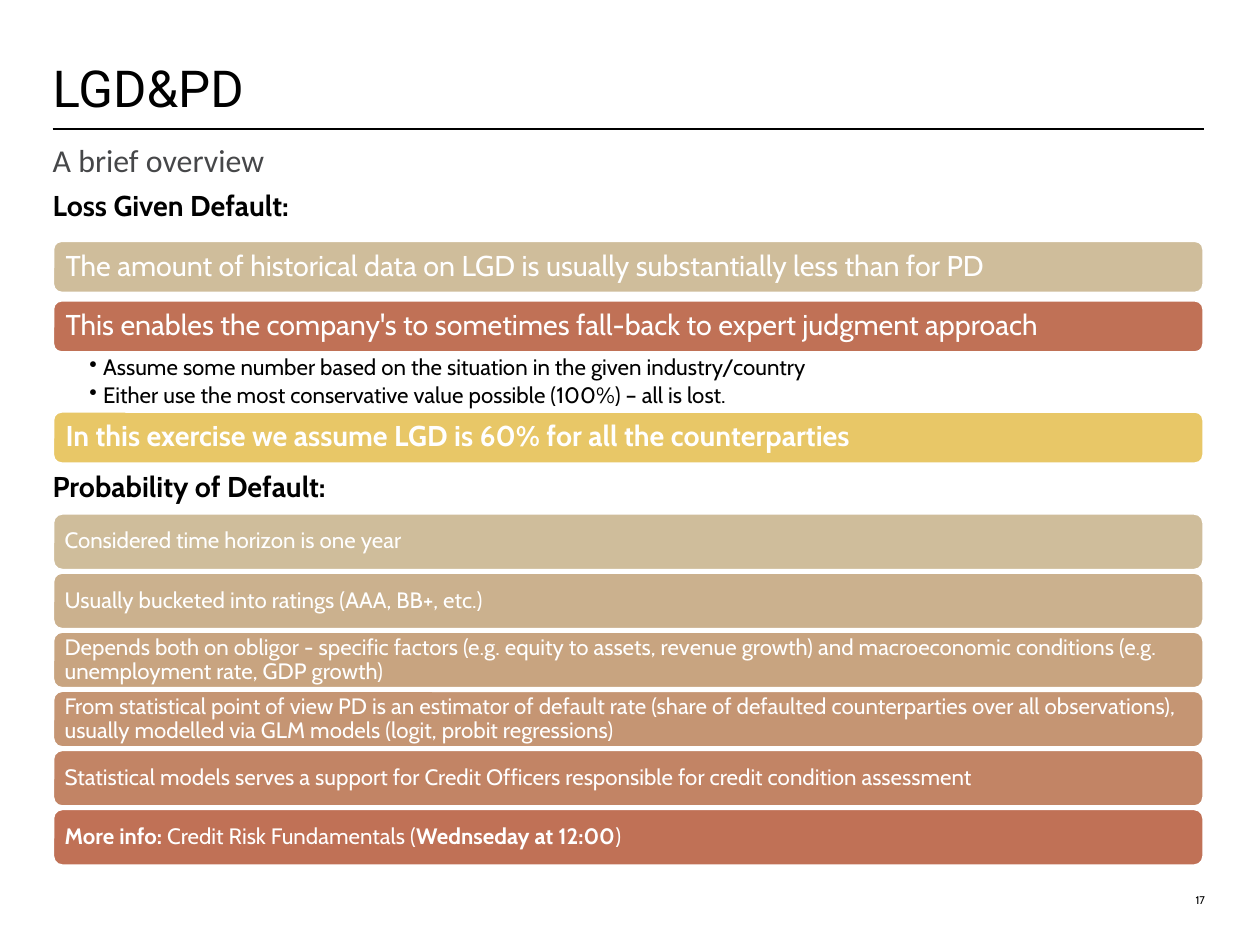
from lxml import etree
from pptx import Presentation, util as u
from pptx.dml.color import RGBColor
from pptx.enum import shapes as sh, text as tx
from pptx.oxml.ns import qn

BLACK = RGBColor(0, 0, 0)
WHITE = RGBColor(255, 255, 255)
GREY = RGBColor(0x46, 0x47, 0x49)
SAND = RGBColor(0xCF, 0xBD, 0x9B)
RUST = RGBColor(0xC0, 0x71, 0x56)
GOLD = RGBColor(0xE8, 0xC7, 0x67)
# Steps from sand to rust
FADE = [SAND, RGBColor(0xCB, 0xB1, 0x8E), RGBColor(0xC8, 0xA4, 0x80),
        RGBColor(0xC5, 0x95, 0x73), RGBColor(0xC2, 0x84, 0x65), RUST]

LEFT, WIDE = 0.46, 10.05
MID, LOW = tx.MSO_ANCHOR.MIDDLE, tx.MSO_ANCHOR.BOTTOM

LGD = [
    (2.1, SAND, "The amount of historical data on LGD is usually substantially less than for PD", False),
    (2.62, RUST, "This enables the company's to sometimes fall-back to expert judgment approach", False),
    (3.59, GOLD, "In this exercise we assume LGD is 60% for all the counterparties", True),
]
NOTES = [
    "Assume some number based on the situation in the given industry/country",
    "Either use the most conservative value possible (100%) – all is lost.",
]
PD = [
    [("Considered time horizon is one year", False)],
    [("Usually bucketed into ratings (AAA, BB+, etc.)", False)],
    [("Depends both on obligor - specific factors (e.g. equity to assets, revenue growth) "
      "and macroeconomic conditions (e.g. unemployment rate, GDP growth)", False)],
    [("From statistical point of view PD is an estimator of default rate (share of defaulted "
      "counterparties over all observations), usually modelled via GLM models "
      "(logit, probit regressions)", False)],
    [("Statistical models serves a support for Credit Officers responsible for "
      "credit condition assessment", False)],
    [("More info: ", True), ("Credit Risk Fundamentals (", False),
     ("Wednseday at 12:00", True), (")", False)],
]


def apply(obj, **form):
    for key, val in form.items():
        setattr(obj, key, val)


def place(shape, x, y, w, h):
    apply(shape, left=u.Inches(x), top=u.Inches(y),
          width=u.Inches(w), height=u.Inches(h))


def frame(shape, pad=(0, 0, 0, 0), anchor=tx.MSO_ANCHOR.TOP):
    sides = ("left", "top", "right", "bottom")
    form = {f"margin_{side}": u.Inches(val) for side, val in zip(sides, pad)}
    apply(shape.text_frame, word_wrap=True, auto_size=tx.MSO_AUTO_SIZE.NONE,
          vertical_anchor=anchor, **form)
    return shape.text_frame


def write(para, runs, size, color=BLACK, face="Cabin", **form):
    """Fill a paragraph with (words, bold) runs."""
    form = {"alignment": tx.PP_ALIGN.LEFT, "space_before": u.Pt(0), **form}
    apply(para, **form)
    for words, bold in runs:
        run = para.add_run()
        run.text = words
        apply(run.font, name=face, size=u.Pt(size), bold=bold)
        run.font.color.rgb = color


def bullet(para, char=None, hang=0):
    props = para._p.get_or_add_pPr()
    props.set("marL", str(u.Inches(hang)))
    props.set("indent", str(-u.Inches(hang)))
    if char:
        etree.SubElement(props, qn("a:buChar")).set("char", char)
    else:
        etree.SubElement(props, qn("a:buNone"))


def label(slide, box, words, size, anchor=tx.MSO_ANCHOR.TOP, **form):
    shape = slide.shapes.add_textbox(*map(u.Inches, box))
    write(frame(shape, anchor=anchor).paragraphs[0], [(words, False)], size, **form)


def head(shape, y, h, words):
    place(shape, LEFT, y, WIDE, h)
    para = frame(shape, (0, 0, 0, 0.04)).paragraphs[0]
    write(para, [(words, True)], 18)
    bullet(para)


def bar(slide, y, h, fill, runs, size, pad):
    shape = slide.shapes.add_shape(
        sh.MSO_SHAPE.ROUNDED_RECTANGLE, *map(u.Inches, (LEFT, y, WIDE, h)))
    shape.shadow.inherit = False
    shape.fill.solid()
    shape.fill.fore_color.rgb = fill
    shape.line.color.rgb = WHITE
    shape.line.width = u.Pt(2)
    para = frame(shape, (pad,) * 4, MID).paragraphs[0]
    write(para, runs, size, WHITE, line_spacing=0.9)


def rule(slide, y):
    line = slide.shapes.add_connector(
        sh.MSO_CONNECTOR.STRAIGHT, *map(u.Inches, (LEFT, y, LEFT + WIDE, y)))
    line.line.color.rgb = BLACK
    line.line.width = u.Pt(1.25)
    etree.SubElement(line._element.spPr, qn("a:effectLst"))


def notes(slide):
    box = slide.shapes.add_textbox(*map(u.Inches, (LEFT, 3.08, WIDE, 0.51)))
    body = frame(box, (0.32, 0.03, 0.14, 0.03))
    for i, words in enumerate(NOTES):
        para = body.add_paragraph() if i else body.paragraphs[0]
        write(para, [(words, False)], 14, line_spacing=0.9, space_after=u.Pt(2.5))
        bullet(para, "•", 0.12)


def main():
    deck = Presentation()
    apply(deck, slide_width=u.Inches(11), slide_height=u.Inches(8.25))
    slide = deck.slides.add_slide(deck.slide_layouts.get_by_name("Two Content"))
    title, first, second = slide.placeholders

    # Title, rule and subtitle
    place(title, LEFT, 0, WIDE, 1.03)
    write(frame(title, anchor=LOW).paragraphs[0], [("LGD&PD", False)], 32,
          face="Roboto", line_spacing=u.Pt(32))
    rule(slide, 1.13)
    label(slide, (LEFT, 1.23, WIDE, 0.3), "A brief overview", 20,
          color=GREY, face="Calibri")

    # Loss given default
    head(first, 1.64, 0.39, "Loss Given Default:")
    for y, fill, words, bold in LGD:
        bar(slide, y, 0.46, fill, [(words, bold)], 18, 0.09)
    notes(slide)

    # Probability of default
    head(second, 4.09, 0.44, "Probability of Default:")
    for i, (fill, runs) in enumerate(zip(FADE, PD)):
        bar(slide, 4.48 + 0.516 * i, 0.5, fill, runs, 14, 0.08)

    # Page number
    label(slide, (10.07, 7.5, 0.45, 0.42), "17", 7, LOW,
          alignment=tx.PP_ALIGN.RIGHT)
    deck.save("out.pptx")


if __name__ == "__main__":
    main()
